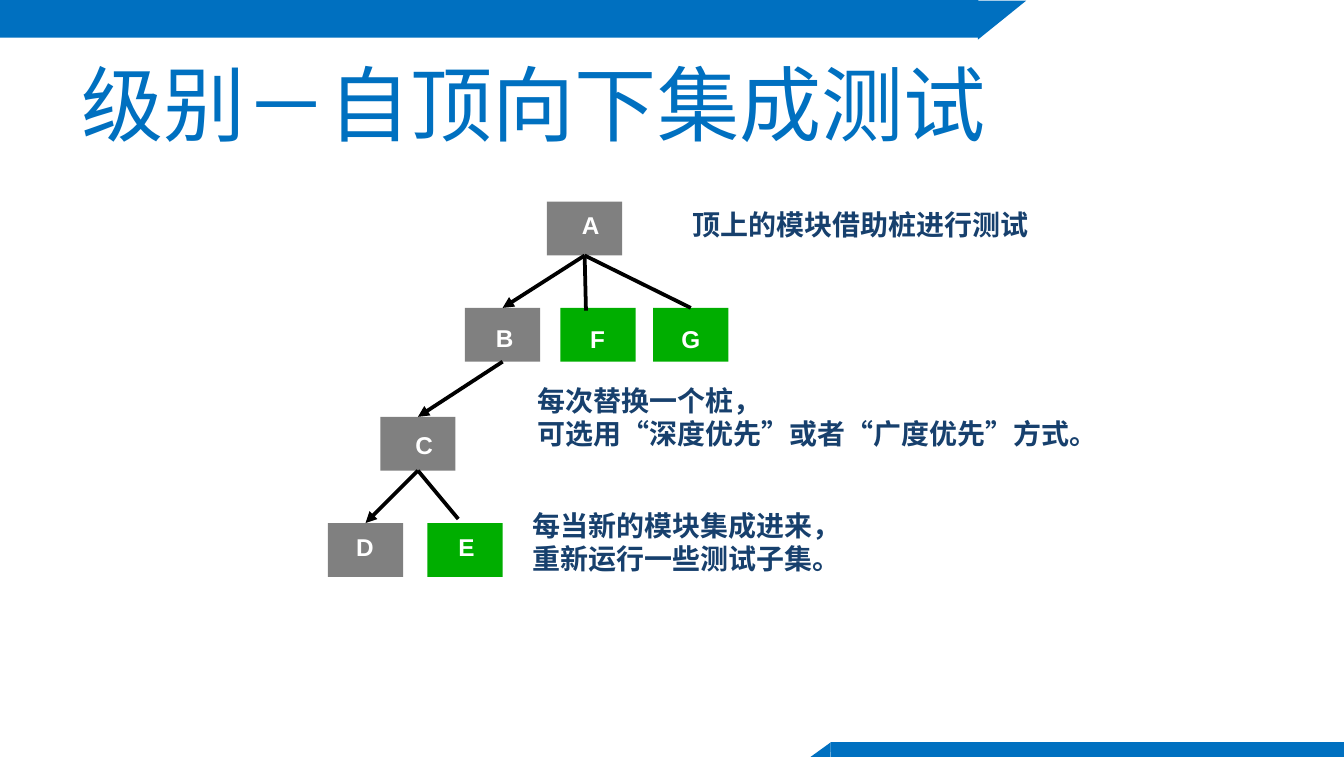
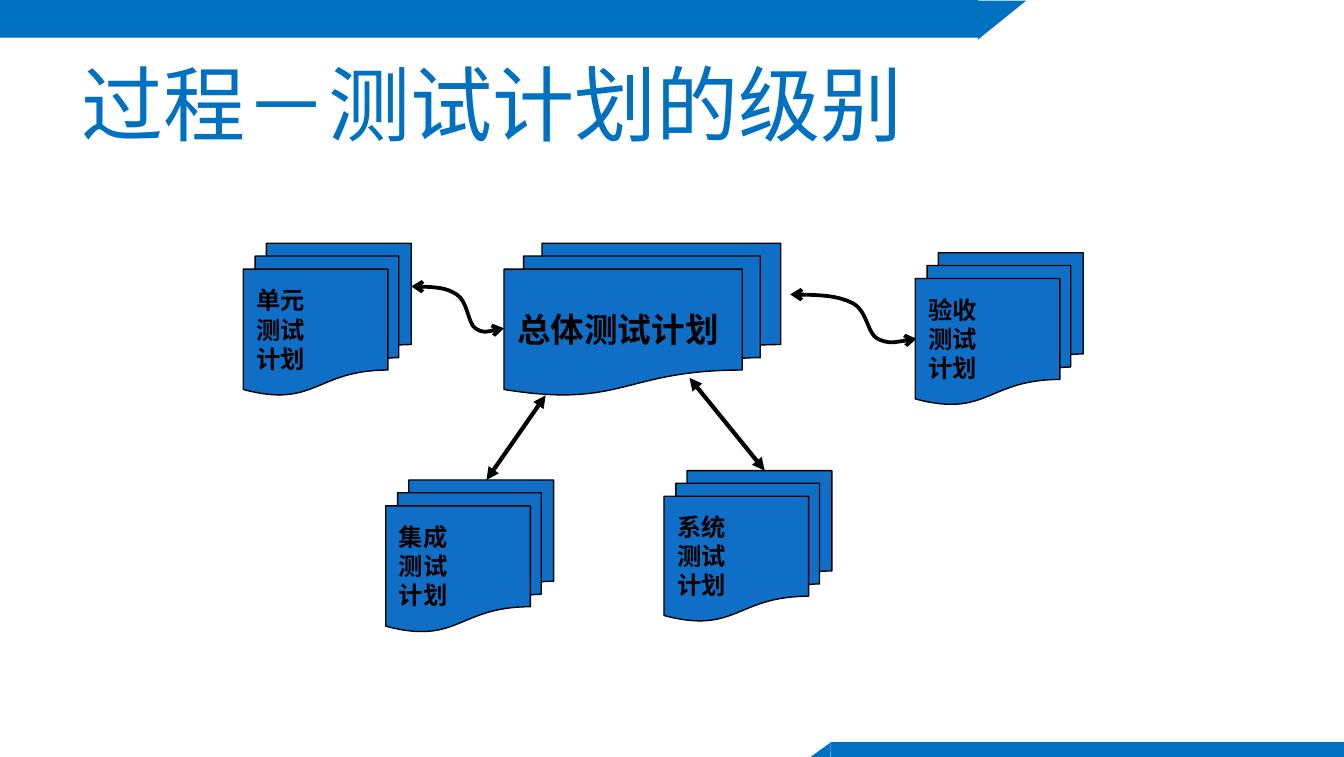
"""Build two slides on top-down integration testing and test plan levels."""
from lxml.etree import SubElement
from pptx import Presentation
from pptx.dml.color import RGBColor
from pptx.enum.shapes import MSO_CONNECTOR, MSO_SHAPE as SHAPE
from pptx.enum.text import MSO_ANCHOR as ANCHOR, PP_ALIGN as ALIGN
from pptx.oxml.ns import qn
from pptx.util import Inches, Pt

COLORS = {"blue": "0070C0", "white": "FFFFFF", "gray": "808080", "green": "00AE00",
          "navy": "17406D", "document": "0F6FC6", "black": "000000"}

BANDS = [
    (SHAPE.RECTANGLE, (0, 0, 10, 0.28), 0, "blue"),
    (SHAPE.RECTANGLE, (7.28, 0, 2.72, 0.38), 0, "white"),
    (SHAPE.RECTANGLE, (6.18, 5.52, 3.82, 0.12), 0, "blue"),
    (SHAPE.RIGHT_TRIANGLE, (7.31, -0.03, 0.29, 0.36), 90, "blue"),
    (SHAPE.RIGHT_TRIANGLE, (6.04, 5.5, 0.12, 0.16), 271, "blue"),
]

TREE_TITLE = [("级别－", "Montserrat"), ("自顶向下", "Noto Sans CJK SC"), ("集成测试", "Montserrat")]
PLAN_TITLE = [("过程－测试计划的级别", "Montserrat")]

MODULE_SIZE = (0.56, 0.4)
LABEL_SIZE = (0.28, 0.29)
MODULES = {
    "A": ((4.07, 1.5), (4.26, 1.52), "gray"),
    "B": ((3.46, 2.29), (3.62, 2.36), "gray"),
    "C": ((2.83, 3.1), (3.02, 3.16), "gray"),
    "D": ((2.44, 3.89), (2.58, 3.92), "gray"),
    "E": ((3.18, 3.89), (3.34, 3.92), "green"),
    "F": ((4.17, 2.29), (4.32, 2.37), "green"),
    "G": ((4.86, 2.29), (5, 2.37), "green"),
}
CALLS = [("C", "E", (3.41, 3.86), None), ("A", "F", (4.36, 2.31), None), ("A", "G", None, None),
         ("A", "B", None, "triangle"), ("B", "C", None, "triangle"), ("C", "D", None, "triangle")]
REMARKS = [
    ((5.08, 1.5, 2.65, 0.32), ["顶上的模块借助桩进行测试"]),
    ((3.93, 2.81, 4.32, 0.57), ["每次替换一个桩，", "可选用“深度优先”或者“广度优先”方式。"]),
    ((3.89, 3.74, 2.44, 0.57), ["每当新的模块集成进来，", "重新运行一些测试子集。"]),
]

PLANS = [
    ((3.75, 1.81, 2.06, 1.13), ["总体测试计划"], 18),
    ((1.81, 1.81, 1.25, 1.13), ["单元", "测试", "计划"], 13),
    ((2.87, 3.57, 1.25, 1.13), ["集成", "测试", "计划"], 13),
    ((4.94, 3.5, 1.25, 1.12), ["系统", "测试", "计划"], 13),
    ((6.81, 1.88, 1.25, 1.13), ["验收", "测试", "计划"], 13),
]
WAVE = [(0, 0), (0.19, 0), (0.38, 0.03), (0.49, 0.17), (0.61, 0.32), (0.61, 0.78),
        (0.69, 0.89), (0.78, 1), (0.88, 0.94), (1, 0.89)]
WAVE_BOXES = [(3.06, 2.13, 0.69, 0.35), (5.88, 2.19, 0.94, 0.37)]
PLAN_ARROWS = [((4.06, 2.94), (3.62, 3.57)), ((5.13, 2.81), (5.69, 3.5))]


def color(name):
    return RGBColor.from_string(COLORS[name])


def inches(values):
    return [Inches(value) for value in values]


def add_block(page, kind, at, fill, outline=None):
    block = page.shapes.add_shape(kind, *inches(at))
    block.shadow.inherit = False
    block.fill.solid()
    block.fill.fore_color.rgb = color(fill)
    if outline:
        block.line.color.rgb = color(outline)
        block.line.width = Pt(0.75)
    else:
        block.line.fill.background()
    return block


def write_lines(frame, lines, font, size, ink):
    frame.word_wrap = False
    for index, line in enumerate(lines):
        para = frame.add_paragraph() if index else frame.paragraphs[0]
        para.text = line
        para.alignment = ALIGN.LEFT
        para.font.name = font
        para.font.size = Pt(size)
        para.font.bold = True
        para.font.color.rgb = color(ink)


def add_note(page, at, lines, font, size, ink):
    frame = page.shapes.add_textbox(*inches(at)).text_frame
    frame.margin_left = frame.margin_right = Inches(0.07)
    frame.margin_top = frame.margin_bottom = Inches(0.04)
    write_lines(frame, lines, font, size, ink)


def style_line(shape, width, head=None, tail=None):
    shape.line.color.rgb = color("black")
    shape.line.width = Pt(width)
    for tag, arrow in (("a:headEnd", head), ("a:tailEnd", tail)):
        if arrow:
            SubElement(shape.line._get_or_add_ln(), qn(tag), type=arrow)


def add_line(page, start, end, width, head=None, tail=None):
    line = page.shapes.add_connector(MSO_CONNECTOR.STRAIGHT, *inches(start + end))
    style_line(line, width, head, tail)
    SubElement(line._element.spPr, qn("a:effectLst"))
    return line


def add_wave(page, left, top, width, height):
    points = [(Inches(left + x * width), Inches(top + y * height)) for x, y in WAVE]
    builder = page.shapes.build_freeform(*points[0])
    builder.add_line_segments(points[1:], close=False)
    wave = builder.convert_to_shape()
    wave.shadow.inherit = False
    wave.fill.background()
    outline = wave._element.find(".//" + qn("a:path"))
    for index, segment in enumerate(outline.findall(qn("a:lnTo"))):
        if index % 3 == 0:
            curve = SubElement(outline, qn("a:cubicBezTo"))
        curve.append(segment[0])
        outline.remove(segment)
    style_line(wave, 2, "arrow", "arrow")


def add_page(deck, title):
    page = deck.slides.add_slide(deck.slide_layouts[6])
    for kind, at, turn, fill in BANDS:
        add_block(page, kind, at, fill).rotation = turn
    frame = page.shapes.add_textbox(*inches((0.51, 0.29, 9, 0.94))).text_frame
    frame.word_wrap = True
    frame.vertical_anchor = ANCHOR.MIDDLE
    para = frame.paragraphs[0]
    for text, font in title:
        span = para.add_run()
        span.text = text
        span.font.name = font
    para.font.size = Pt(44)
    para.font.color.rgb = color("blue")
    return page


def build_tree(deck):
    page = add_page(deck, TREE_TITLE)
    boxes = {name: add_block(page, SHAPE.RECTANGLE, corner + MODULE_SIZE, fill)
             for name, (corner, _, fill) in MODULES.items()}
    for at, lines in REMARKS:
        add_note(page, at, lines, "Comic Neue", 15, "navy")
    for name, (_, corner, _) in MODULES.items():
        add_note(page, corner + LABEL_SIZE, [name], "Arial", 13, "white")
    for caller, callee, end, tail in CALLS:
        line = add_line(page, MODULES[caller][0], end or MODULES[callee][0], 2, tail=tail)
        line.begin_connect(boxes[caller], 2)
        if end is None:
            line.end_connect(boxes[callee], 0)


def build_plans(deck):
    page = add_page(deck, PLAN_TITLE)
    for at, lines, size in PLANS:
        plan = add_block(page, SHAPE.FLOWCHART_MULTIDOCUMENT, at, "document", "black")
        plan.text_frame.vertical_anchor = ANCHOR.MIDDLE
        write_lines(plan.text_frame, lines, "Times New Roman", size, "black")
    for at in WAVE_BOXES:
        add_wave(page, *at)
    for start, end in PLAN_ARROWS:
        add_line(page, start, end, 2.25, "triangle", "triangle")


def main():
    deck = Presentation()
    deck.slide_width, deck.slide_height = inches((10, 5.63))
    build_tree(deck)
    build_plans(deck)
    deck.save("out.pptx")


if __name__ == "__main__":
    main()
